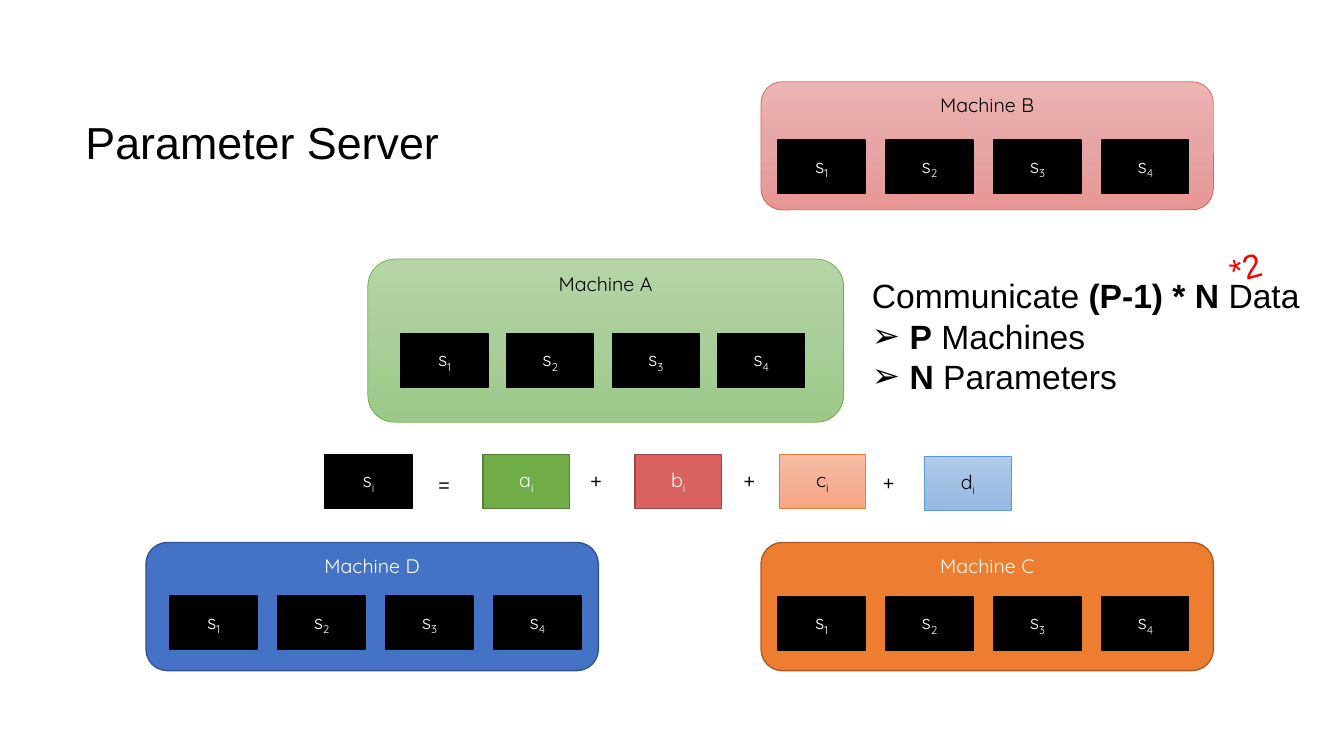
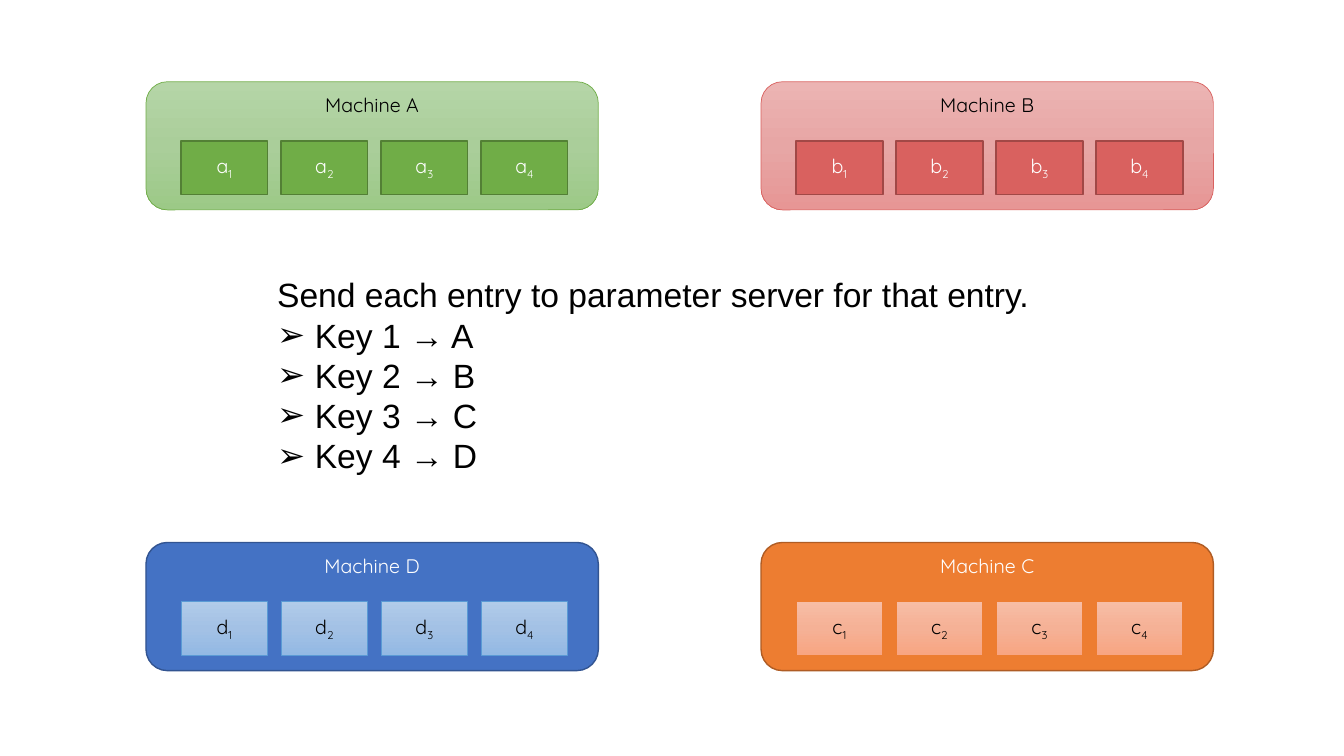
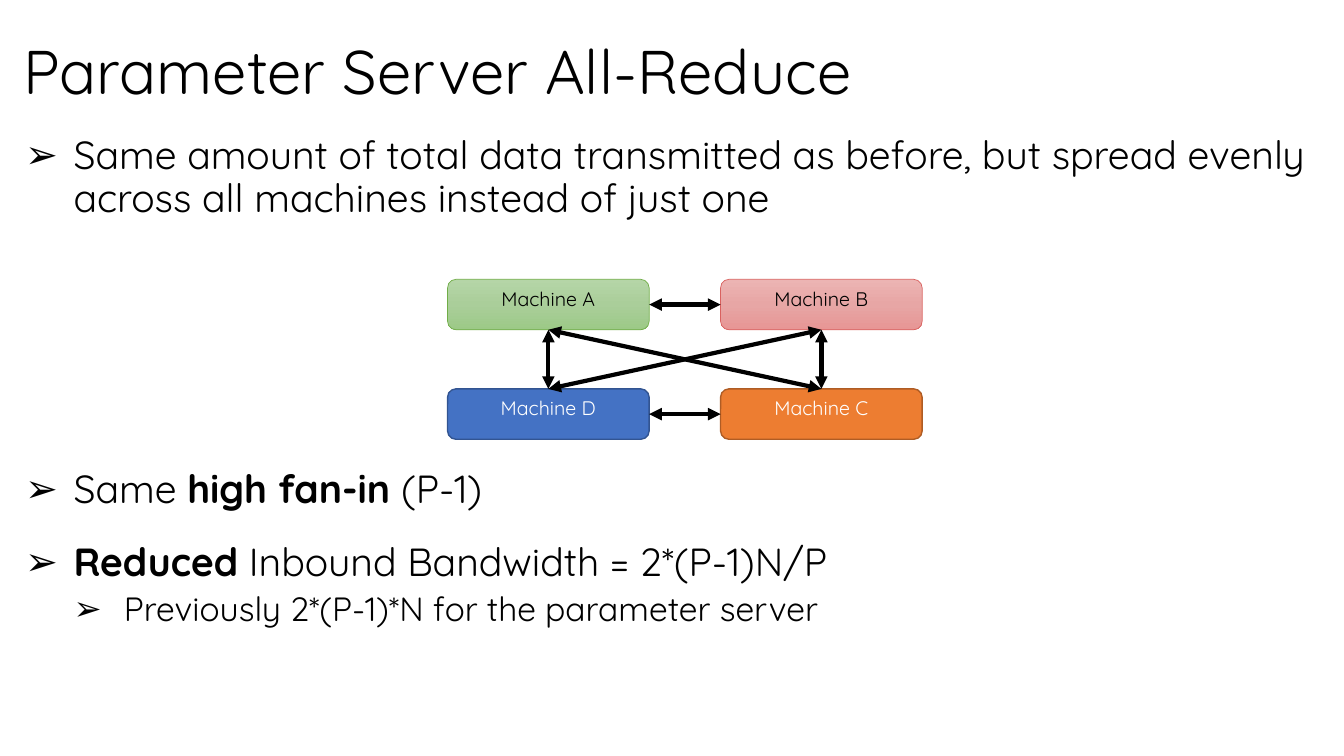
from copy import deepcopy

from lxml.etree import SubElement
from pptx import Presentation
from pptx.dml.color import RGBColor
from pptx.enum.shapes import MSO_CONNECTOR, MSO_SHAPE
from pptx.enum.text import MSO_ANCHOR, MSO_AUTO_SIZE, PP_ALIGN
from pptx.oxml.ns import qn
from pptx.util import Cm, Pt

COLORS = {
    "black": "000000",
    "white": "FFFFFF",
    "red": "FF0000",
    "green": "70AD47",
    "green_edge": "538035",
    "green_top": "B5D5A7",
    "green_mid": "AACE9A",
    "green_low": "9CC987",
    "rose": "D9615F",
    "rose_edge": "A14846",
    "rose_top": "ECB4B3",
    "rose_mid": "E7A6A5",
    "rose_low": "E79695",
    "orange": "ED7D31",
    "orange_edge": "AF5C24",
    "orange_top": "F7BDA5",
    "orange_mid": "F5B196",
    "orange_low": "F8A582",
    "blue": "4472C4",
    "blue_edge": "325491",
    "sky": "5B9BD5",
    "sky_top": "B1CBE9",
    "sky_mid": "A3C1E5",
    "sky_low": "93B9E4",
}

GREEN_FADE = ("green_top", "green_mid", "green_low")
ROSE_FADE = ("rose_top", "rose_mid", "rose_low")
ORANGE_FADE = ("orange_top", "orange_mid", "orange_low")
SKY_FADE = ("sky_top", "sky_mid", "sky_low")

MACHINES = {
    "A": (GREEN_FADE, "green", "black"),
    "B": (ROSE_FADE, "rose", "black"),
    "C": (("orange",), "orange_edge", "white"),
    "D": (("blue",), "blue_edge", "white"),
}
CELLS = {
    "s": (("black",), "black", "white"),
    "a": (("green",), "green_edge", "white"),
    "b": (("rose",), "rose_edge", "white"),
    "c": (ORANGE_FADE, "orange", "black"),
    "d": (SKY_FADE, "sky", "black"),
}

LEFT, RIGHT, TOP, BOTTOM = 3.68, 19.18, 2.06, 13.67
MACHINE_W, MACHINE_H = 11.4, 3.23
CELL_W, CELL_H = 2.19, 1.35


def rgb(name):
    return RGBColor.from_string(COLORS[name])


def add_run(p, text, size=14, font="Quicksand", color="black", bold=False, sub=False):
    r = p.add_run()
    r.text = text
    r.font.size = Pt(size)
    r.font.name = font
    r.font.bold = bold
    r.font.color.rgb = rgb(color)
    if sub:
        r.font._element.set("baseline", "-25000")
    return r


class Deck:
    bullet = "➢"

    def __init__(self):
        self.prs = Presentation()
        self.prs.slide_width = Cm(33.87)
        self.prs.slide_height = Cm(19.05)
        self.s = None

    def new_slide(self):
        self.s = self.prs.slides.add_slide(self.prs.slide_layouts[1])

    def place(self, sp, x, y, w, h):
        sp.left, sp.top, sp.width, sp.height = Cm(x), Cm(y), Cm(w), Cm(h)
        tf = sp.text_frame
        tf.word_wrap = True
        tf.auto_size = MSO_AUTO_SIZE.NONE
        return tf

    def title(self, text, x, y, w, h, **fmt):
        tf = self.place(self.s.shapes.title, x, y, w, h)
        tf.vertical_anchor = MSO_ANCHOR.MIDDLE
        p = tf.paragraphs[0]
        p.alignment = PP_ALIGN.LEFT
        p.line_spacing = 0.9
        add_run(p, text, **fmt)

    def no_title(self):
        sp = self.s.shapes.title._element
        sp.getparent().remove(sp)

    def body(self, x, y, w, h):
        tf = self.place(self.s.placeholders[1], x, y, w, h)
        tf.vertical_anchor = MSO_ANCHOR.TOP
        return tf

    def item(self, tf, runs, indent=0, hang=0, level=0, before=0, spacing=1.0, **fmt):
        p = tf.paragraphs[0]
        if p.runs:
            p = tf.add_paragraph()
        p.level = level
        p.alignment = PP_ALIGN.LEFT
        p.line_spacing = spacing
        p.space_before = Pt(before)
        pPr = p._p.get_or_add_pPr()
        pPr.set("marL", str(Cm(indent)))
        pPr.set("indent", str(-Cm(hang)))
        if hang:
            color = SubElement(pPr, qn("a:buClr"))
            SubElement(color, qn("a:srgbClr"), val=COLORS["black"])
            SubElement(pPr, qn("a:buFont"), typeface="Arial")
            SubElement(pPr, qn("a:buChar"), char=self.bullet)
        else:
            SubElement(pPr, qn("a:buNone"))
        for text, bold in runs:
            add_run(p, text, bold=bold, **fmt)

    def plain_list(self, tf, heading, items):
        fmt = {"size": 24, "font": "Arial"}
        self.item(tf, heading, **fmt)
        for runs in items:
            self.item(tf, runs, indent=0.95, hang=0.95, **fmt)

    def text(self, text, x, y, w, h, rotation=0, align=PP_ALIGN.LEFT, **fmt):
        sp = self.s.shapes.add_textbox(0, 0, 0, 0)
        p = self.place(sp, x, y, w, h).paragraphs[0]
        sp.rotation = rotation
        p.alignment = align
        add_run(p, text, font="Arial", **fmt)

    def box(self, kind, style, x, y, w, h, anchor):
        fills, edge, _ = style
        sp = self.s.shapes.add_shape(kind, 0, 0, 0, 0)
        tf = self.place(sp, x, y, w, h)
        sp.shadow.inherit = False
        sp.line.color.rgb = rgb(edge)
        if len(fills) == 1:
            sp.fill.solid()
            sp.fill.fore_color.rgb = rgb(fills[0])
            sp.line.width = Pt(1)
        else:
            sp.fill.gradient()
            sp.fill.gradient_angle = 270
            stops = sp._element.spPr.find(qn("a:gradFill")).find(qn("a:gsLst"))
            stops.insert(1, deepcopy(stops[0]))
            for i, stop in enumerate(sp.fill.gradient_stops):
                stop.position = i / 2
                stop.color.rgb = rgb(fills[i])
            sp.line.width = Pt(0.5)
        tf.vertical_anchor = anchor
        tf.paragraphs[0].alignment = PP_ALIGN.CENTER
        return sp

    def machine(self, name, x, y, w=MACHINE_W, h=MACHINE_H):
        style = MACHINES[name]
        sp = self.box(MSO_SHAPE.ROUNDED_RECTANGLE, style, x, y, w, h, MSO_ANCHOR.TOP)
        add_run(sp.text_frame.paragraphs[0], f"Machine {name}", color=style[2])
        return sp

    def cell(self, letter, index, x, y):
        style = CELLS[letter]
        sp = self.box(MSO_SHAPE.RECTANGLE, style, x, y, CELL_W, CELL_H, MSO_ANCHOR.MIDDLE)
        p = sp.text_frame.paragraphs[0]
        add_run(p, letter, color=style[2])
        add_run(p, index, color=style[2], sub=True)

    def cells(self, letter, x, y, pitch):
        for i in range(4):
            self.cell(letter, str(i + 1), x + i * pitch, y)

    def arrow(self, start, start_side, end, end_side):
        c = self.s.shapes.add_connector(MSO_CONNECTOR.STRAIGHT, 0, 0, 0, 0)
        c.begin_connect(start, start_side)
        c.end_connect(end, end_side)
        c.line.color.rgb = rgb("black")
        c.line.width = Pt(3)
        ln = c.line._get_or_add_ln()
        for tag in ("a:headEnd", "a:tailEnd"):
            SubElement(ln, qn(tag), type="triangle")
        SubElement(c._element.spPr, qn("a:effectLst"))


def parameter_server(d):
    d.new_slide()
    d.title("Parameter Server", 1.9, 2.84, 9.6, 1.63, size=32, font="Arial")
    d.plain_list(
        d.body(21.72, 6.81, 11.5, 3.33),
        [("Communicate", False), (" (P-1) * N", True), (" Data", False)],
        [
            [("P", True), (" Machines", False)],
            [("N", True), (" Parameters", False)],
        ],
    )
    d.machine("A", 9.27, 6.53, 11.99, 4.11)
    d.machine("B", RIGHT, TOP)
    d.machine("C", RIGHT, BOTTOM)
    d.machine("D", LEFT, BOTTOM)
    d.cells("s", 10.11, 8.41, 2.66)
    for x, y in ((19.61, 3.53), (19.61, 15.04), (4.29, 15.02)):
        d.cells("s", x, y, 2.72)
    terms = (("s", 8.19, 11.46), ("a", 12.17, 11.46), ("b", 16, 11.46),
             ("c", 19.63, 11.46), ("d", 23.3, 11.5))
    for letter, x, y in terms:
        d.cell(letter, "i", x, y)
    signs = (("=", 10.8, 11.79), ("+", 14.63, 11.68), ("+", 18.49, 11.68), ("+", 22, 11.73))
    for sign, x, y in signs:
        d.text(sign, x, y, 0.89, 1.02)
    d.text("*2", 30.71, 6.1, 1.35, 1.27, rotation=344.7, align=PP_ALIGN.CENTER,
           size=24, color="red")


def send_entries(d):
    d.new_slide()
    d.no_title()
    d.plain_list(
        d.body(6.73, 6.78, 21.64, 5.38),
        [("Send each entry to parameter server for that entry.", False)],
        [[(f"Key {i} → {name}", False)] for i, name in enumerate("ABCD", 1)],
    )
    corners = (("A", LEFT, TOP), ("B", RIGHT, TOP), ("C", RIGHT, BOTTOM), ("D", LEFT, BOTTOM))
    for name, x, y in corners:
        d.machine(name, x, y)
        d.cells(name.lower(), x + 0.88, 3.55 if y == TOP else 15.16, 2.52)


def all_reduce(d):
    d.new_slide()
    d.title("Parameter Server All-Reduce", 0.33, 0.05, 30, 3.68, size=44)
    tf = d.body(0.33, 3.3, 33.53, 12.98)
    main = {"indent": 1.27, "hang": 1.22, "spacing": 0.9, "size": 28}
    d.item(tf, [("Same amount of total data transmitted as before, but spread evenly "
                 "across all machines instead of just one", False)], **main)
    d.item(tf, [("Same ", False), ("high fan-in ", True), ("(P-1)", False)],
           before=178, **main)
    d.item(tf, [("Reduced", True), (" Inbound Bandwidth = 2*(P-1)N/P", False)],
           before=22, **main)
    d.item(tf, [("Previously 2*(P-1)*N for the parameter server", False)],
           indent=2.54, hang=1.27, level=1, before=5, spacing=0.9, size=24)

    left, right, upper, lower = 11.28, 18.16, 7.04, 9.8
    spots = {"A": (left, upper), "B": (right, upper), "D": (left, lower), "C": (right, lower)}
    m = {name: d.machine(name, x, y, 5.08, 1.27) for name, (x, y) in spots.items()}
    for start, end in ("AC", "BD", "AD", "BC"):
        d.arrow(m[start], 2, m[end], 0)
    for start, end in ("BA", "CD"):
        d.arrow(m[start], 1, m[end], 3)


def main():
    d = Deck()
    parameter_server(d)
    send_entries(d)
    all_reduce(d)
    d.prs.save("out.pptx")


if __name__ == "__main__":
    main()
